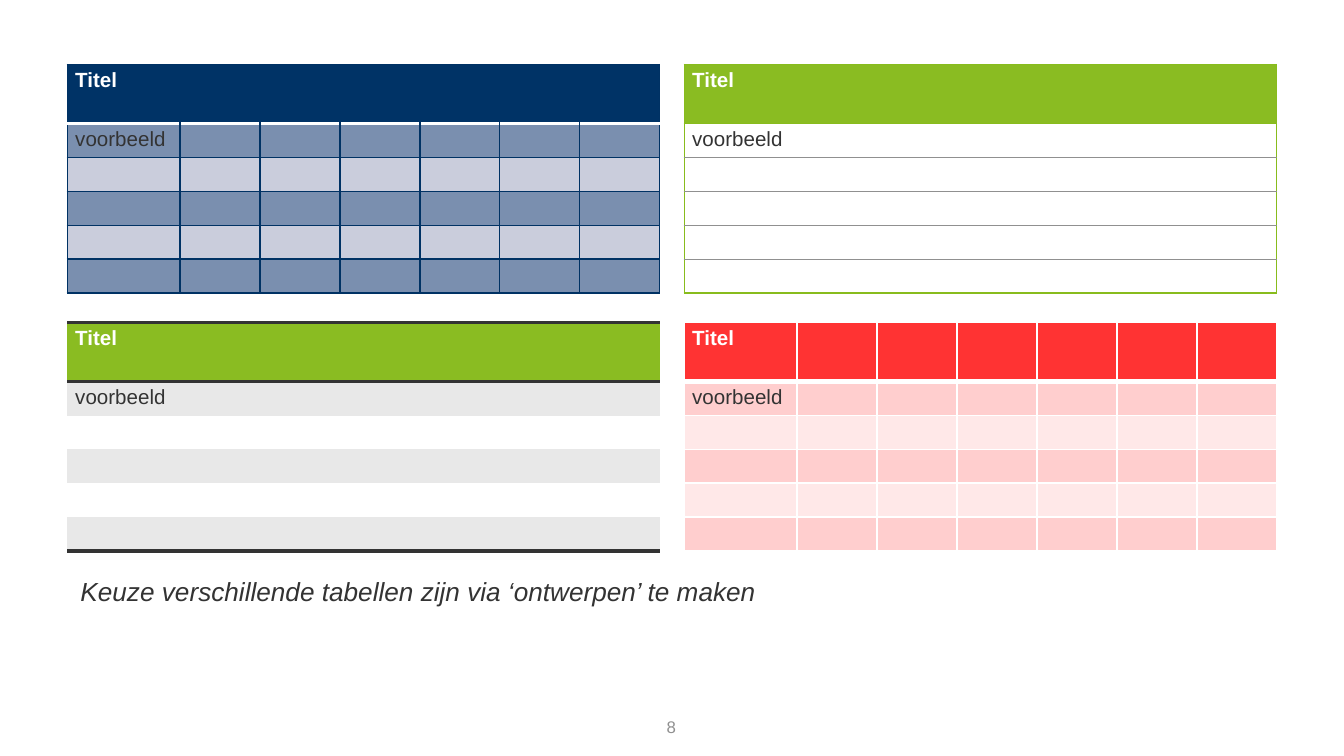
from lxml import etree
from pptx import Presentation
from pptx.dml.color import RGBColor
from pptx.enum.text import MSO_ANCHOR, PP_ALIGN
from pptx.oxml.ns import qn
from pptx.util import Inches, Pt

LEFT, CENTER = PP_ALIGN.LEFT, PP_ALIGN.CENTER
TOP, MIDDLE = MSO_ANCHOR.TOP, MSO_ANCHOR.MIDDLE

SLIDE_WIDTH = 10
SLIDE_HEIGHT = SLIDE_WIDTH * 9 / 16
ROWS, COLUMNS = 6, 7
TABLE_WIDTH, TABLE_HEIGHT = 4.41, 1.7
FIRST_COLUMN, HEADER_HEIGHT = 0.84, 0.44
LEFT_X, RIGHT_X = 0.5, 5.09
UPPER_Y, LOWER_Y = 0.48, 2.4

INK, WHITE, GREY = "333333", "FFFFFF", "909090"
NAVY, GREEN, RED = "003366", "8ABC22", "FF3333"


def color(value):
    """Turn a hex string into a colour."""
    return RGBColor.from_string(value)


def draw_border(cell, side, line):
    """Draw one side of a cell; line is (colour, points) or None."""
    properties = cell._tc.get_or_add_tcPr()
    border = etree.SubElement(properties, qn("a:ln" + side))
    if line is None:
        border.set("w", "0")
        etree.SubElement(border, qn("a:noFill"))
        return
    border.set("w", str(Pt(line[1])))
    fill = etree.SubElement(border, qn("a:solidFill"))
    etree.SubElement(fill, qn("a:srgbClr"), val=line[0])


class SlideBuilder:
    """Holds the text style and the current slide."""

    font = "Arial"

    def __init__(self, page):
        """Remember the slide to draw on."""
        self.page = page

    def style(self, para, size, ink, bold=False, italic=False):
        """Set the font of a paragraph."""
        font = para.font
        font.name, font.size = self.font, Pt(size)
        font.bold, font.italic = bold, italic
        font.color.rgb = color(ink)

    def text(self, words, x, y, width, height, size, ink,
             align=LEFT, anchor=TOP, italic=False):
        """Add a text box with one paragraph."""
        box = self.page.shapes.add_textbox(
            Inches(x), Inches(y), Inches(width), Inches(height))
        frame = box.text_frame
        frame.word_wrap = True
        frame.vertical_anchor = anchor
        para = frame.paragraphs[0]
        para.text, para.alignment = words, align
        self.style(para, size, ink, italic=italic)

    def table(self, x, y, header, bands, top, under_header, bottom,
              side=None, rule=None, divider=None, header_divider=None):
        """Add a sample table with a header row and banded body rows."""
        table = self.page.shapes.add_table(
            ROWS, COLUMNS, Inches(x), Inches(y),
            Inches(TABLE_WIDTH), Inches(TABLE_HEIGHT)).table
        table.first_row = table.horz_banding = False
        for index, column in enumerate(table.columns):
            column.width = Inches(
                (TABLE_WIDTH - FIRST_COLUMN) / (COLUMNS - 1) if index else FIRST_COLUMN)
        for index, row in enumerate(table.rows):
            row.height = Inches(
                (TABLE_HEIGHT - HEADER_HEIGHT) / (ROWS - 1) if index else HEADER_HEIGHT)
        labels = {(0, 0): "Titel", (1, 0): "voorbeeld"}
        levels = [top, under_header] + [rule] * (ROWS - 2) + [bottom]
        for r in range(ROWS):
            inner = divider if r else header_divider
            edges = [side] + [inner] * (COLUMNS - 1) + [side]
            for c in range(COLUMNS):
                cell = table.cell(r, c)
                cell.margin_left = cell.margin_right = Inches(0.06)
                cell.margin_top = cell.margin_bottom = Inches(0.03)
                para = cell.text_frame.paragraphs[0]
                para.text = labels.get((r, c), "")
                self.style(para, 11, INK if r else WHITE, bold=r == 0)
                lines = (edges[c], edges[c + 1], levels[r], levels[r + 1])
                for name, line in zip("LRTB", lines):
                    draw_border(cell, name, line)
                cell.fill.solid()
                cell.fill.fore_color.rgb = color(bands[(r - 1) % 2] if r else header)


deck = Presentation()
deck.slide_width, deck.slide_height = Inches(SLIDE_WIDTH), Inches(SLIDE_HEIGHT)
builder = SlideBuilder(deck.slides.add_slide(deck.slide_layouts[6]))

navy_line, green_line = ("003264", 0.75), ("88BC1D", 0.75)
dark_line, white_line = (INK, 2), (WHITE, 1)

builder.text("8", 4.71, 5.29, 0.57, 0.23, 9, GREY, CENTER, MIDDLE)
builder.table(LEFT_X, UPPER_Y, NAVY, ("7A8FAF", "CACDDC"),
              navy_line, (WHITE, 2), navy_line,
              side=navy_line, rule=navy_line, divider=navy_line)
builder.table(RIGHT_X, UPPER_Y, GREEN, (WHITE, WHITE),
              green_line, green_line, green_line,
              side=green_line, rule=(GREY, 0.5))
builder.table(LEFT_X, LOWER_Y, GREEN, ("E8E8E8", WHITE),
              dark_line, dark_line, dark_line)
builder.table(RIGHT_X, LOWER_Y, RED, ("FFCECE", "FFE8E8"),
              white_line, (WHITE, 3), white_line, side=white_line,
              rule=white_line, divider=white_line, header_divider=white_line)
builder.text("Keuze verschillende tabellen zijn via ‘ontwerpen’ te maken",
             LEFT_X, 4.23, 6.62, 0.42, 14, INK, italic=True)

deck.save("out.pptx")
